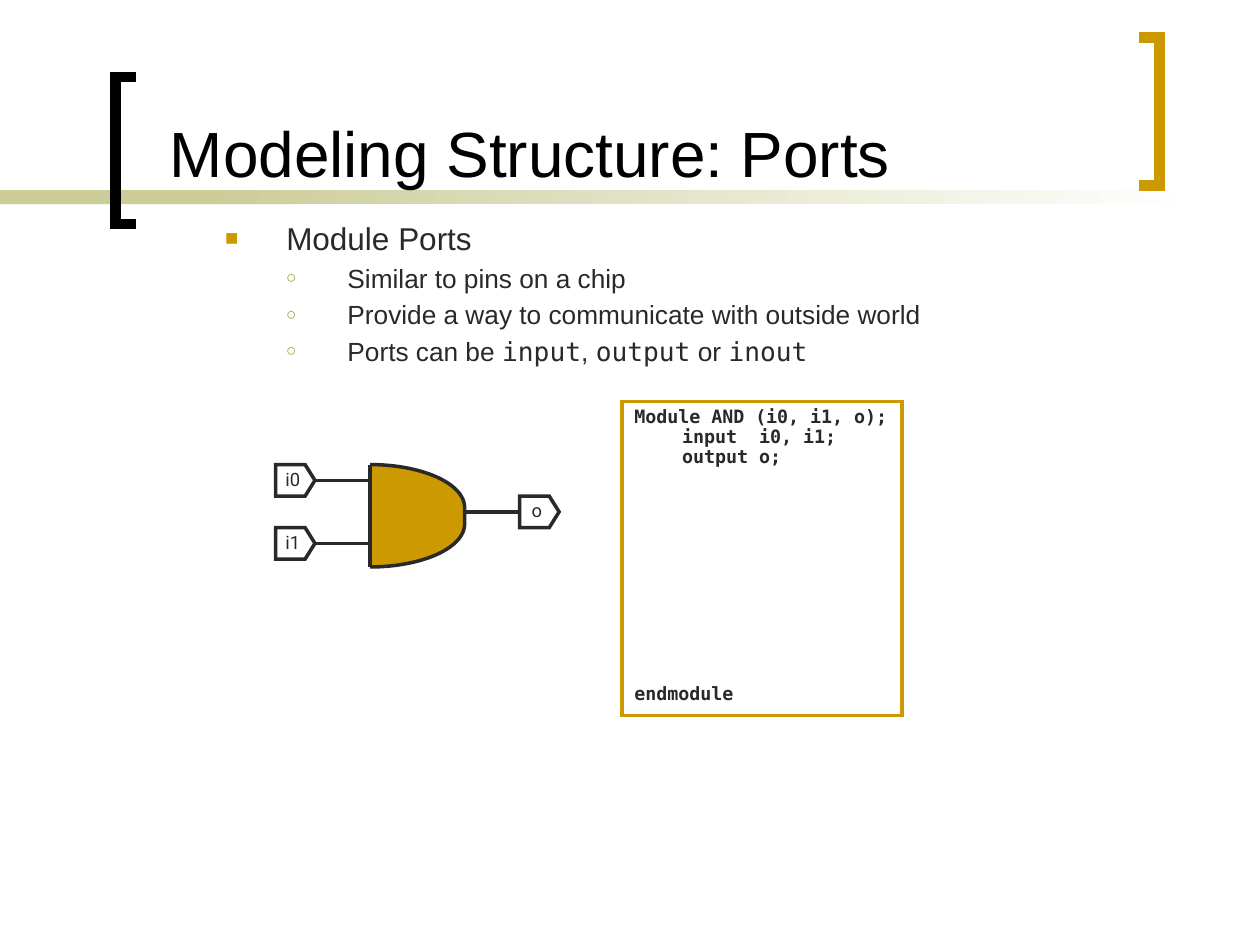
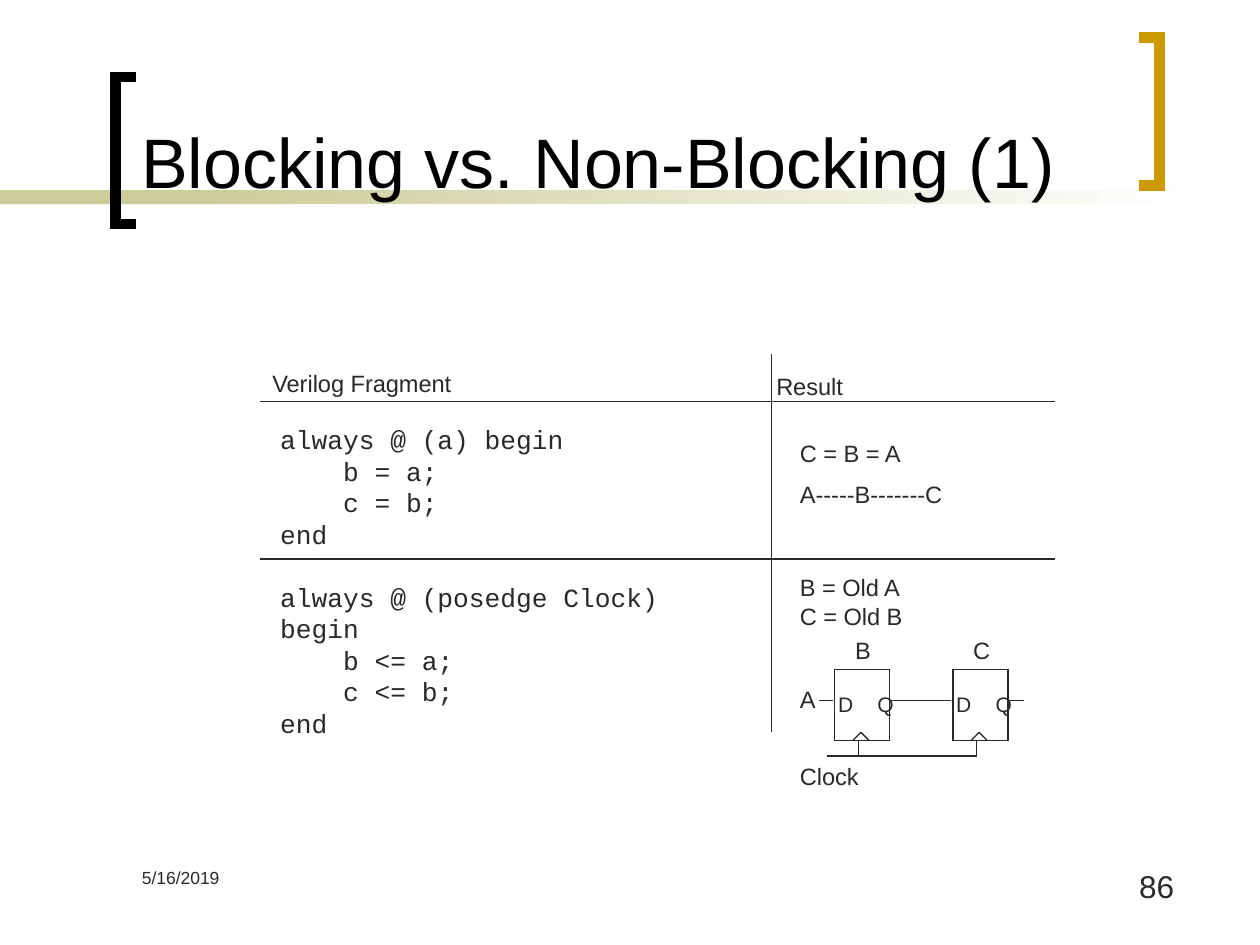
from lxml import etree
from pptx import Presentation
from pptx.dml.color import RGBColor
from pptx.enum.shapes import MSO_CONNECTOR, MSO_SHAPE
from pptx.enum.text import MSO_ANCHOR, PP_ALIGN
from pptx.oxml.ns import qn
from pptx.util import Pt

BLACK = RGBColor(0, 0, 0)
WHITE = RGBColor(255, 255, 255)
INK = RGBColor(0x29, 0x29, 0x29)
GOLD = RGBColor(0xCC, 0x99, 0x00)
SAND = RGBColor(0xCC, 0xCC, 0x99)
OLIVE = RGBColor(0x99, 0x99, 0x33)
SANS, MONO, CODE, PORT = "Arial", "DejaVu Sans Mono", "Courier New", "Roboto"
RECT, PLATE, GATE = MSO_SHAPE.RECTANGLE, MSO_SHAPE.PENTAGON, MSO_SHAPE.RIGHT_BRACKET
STRAIGHT = MSO_CONNECTOR.STRAIGHT
TOP, MIDDLE, BOTTOM = MSO_ANCHOR.TOP, MSO_ANCHOR.MIDDLE, MSO_ANCHOR.BOTTOM
LEFT, CENTER, RIGHT = PP_ALIGN.LEFT, PP_ALIGN.CENTER, PP_ALIGN.RIGHT


class Deck:
    """Hold the style and the current slide, and draw each kind of element."""

    def __init__(self):
        self.prs = Presentation()
        self.prs.slide_width, self.prs.slide_height = Pt(720), Pt(540)
        self.shapes = None

    def slide(self, title, box, size):
        self.shapes = self.prs.slides.add_slide(self.prs.slide_layouts[6]).shapes
        self.shape(RECT, (0, 108.75, 168, 8), fill=SAND)
        self.fade((114, 108.75, 570, 8))
        self.bracket(78, 66, 44, 128, BLACK)
        self.bracket(651, 662.5, 21.5, 106, GOLD)
        self.text(box, [title], size, color=BLACK, anchor=BOTTOM)

    def paint(self, shape, fill, line, width):
        shape.shadow.inherit = False
        if fill is None:
            shape.fill.background()
        else:
            shape.fill.solid()
            shape.fill.fore_color.rgb = fill
        if line is None:
            shape.line.fill.background()
        else:
            shape.line.color.rgb = line
            shape.line.width = Pt(width)
            etree.SubElement(shape.line._get_or_add_ln(), qn("a:miter"), lim="800000")

    def shape(self, kind, box, fill=None, line=None, width=2, adjust=None):
        shape = self.shapes.add_shape(kind, *map(Pt, box))
        if adjust is not None:
            shape.adjustments[0] = adjust
        self.paint(shape, fill, line, width)
        return shape

    def fade(self, box):
        fill = self.shape(RECT, box).fill
        fill.gradient()
        fill.gradient_angle = 0
        for stop, color, place in zip(fill.gradient_stops, (SAND, WHITE), (0, 1)):
            stop.color.rgb = color
            stop.position = place

    def bracket(self, tip, spine, top, base, color):
        pen = self.shapes.build_freeform(Pt(tip), Pt(top))
        ends = [(spine, top), (spine, base), (tip, base)]
        pen.add_line_segments([(Pt(x), Pt(y)) for x, y in ends], close=False)
        self.paint(pen.convert_to_shape(), None, color, 6)

    def line(self, x1, y1, x2, y2, width=0.75):
        wire = self.shapes.add_connector(STRAIGHT, Pt(x1), Pt(y1), Pt(x2), Pt(y2))
        wire.line.color.rgb = INK
        wire.line.width = Pt(width)
        etree.SubElement(wire._element.spPr, qn("a:effectLst"))

    def run(self, para, text, size, font, color=INK, bold=False):
        run = para.add_run()
        run.text = text
        run.font.size, run.font.name, run.font.bold = Pt(size), font, bold
        run.font.color.rgb = color

    def before(self, para, share):
        gap = etree.Element(qn("a:spcBef"))
        etree.SubElement(gap, qn("a:spcPct"), val=str(share * 1000))
        para._p.get_or_add_pPr().insert(0, gap)

    def indent(self, para, left, first=0):
        props = para._p.get_or_add_pPr()
        props.set("marL", str(Pt(left)))
        props.set("indent", str(Pt(first)))

    def paras(self, frame, count):
        return [frame.paragraphs[0]] + [frame.add_paragraph() for _ in range(count - 1)]

    def frame(self, box, anchor=TOP):
        frame = self.shapes.add_textbox(*map(Pt, box)).text_frame
        frame.word_wrap = True
        frame.vertical_anchor = anchor
        return frame

    def text(self, box, rows, size=13.5, font=SANS, color=INK, anchor=TOP,
             align=LEFT, share=0, step=0):
        frame = self.frame(box, anchor)
        for para, row in zip(self.paras(frame, len(rows)), rows):
            para.alignment = align
            if share:
                self.before(para, share)
            if row.startswith("\t"):
                self.indent(para, step)
            self.run(para, row.strip(), size, font, color)

    def label(self, box, text, size=13.5):
        self.text(box, [text], size, share=50)

    def bullets(self, box, rows):
        marks = [("■", GOLD, 70, 18), ("○", OLIVE, 65, 15)]
        for para, (level, runs) in zip(self.paras(self.frame(box), len(rows)), rows):
            sign, color, scale, size = marks[level]
            para.level = level
            self.indent(para, 35 * (level + 1), -35)
            self.before(para, 20)
            props = para._p.get_or_add_pPr()
            tint = etree.SubElement(props, qn("a:buClr"))
            etree.SubElement(tint, qn("a:srgbClr"), val=str(color))
            etree.SubElement(props, qn("a:buSzPct"), val=str(scale * 1000))
            etree.SubElement(props, qn("a:buFont"), typeface=SANS)
            etree.SubElement(props, qn("a:buChar"), char=sign)
            for text, font in runs:
                self.run(para, text, size, font)

    def port(self, x, y, name):
        frame = self.shape(PLATE, (x, y, 22.5, 18), WHITE, INK, adjust=0.312).text_frame
        frame.word_wrap = False
        frame.vertical_anchor = MIDDLE
        para = frame.paragraphs[0]
        para.alignment, para.line_spacing = CENTER, 0.9
        self.run(para, name, 10.5, PORT)

    def listing(self, box, rows):
        frame = self.shape(RECT, box, line=GOLD).text_frame
        frame.word_wrap = False
        frame.vertical_anchor = TOP
        for para, (text, left, gap) in zip(self.paras(frame, len(rows)), rows):
            para.alignment, para.line_spacing = LEFT, 0.9
            para.space_before = Pt(gap)
            self.indent(para, left)
            self.run(para, text, 10.5, MONO, bold=True)

    def flop(self, x, name):
        self.label((x + 4.5, 360, 18, 24), name)
        self.shape(RECT, (x, 382.5, 31.5, 40.5), line=INK, width=0.75)
        for shift, pin in ((-4.5, "D"), (18, "Q")):
            self.label((x + shift, 391.5, 13.5, 21.5), pin, 12)
        self.line(x + 10.5, 423, x + 15, 418.5)
        self.line(x + 15, 418.5, x + 19.5, 423)
        self.line(x + 13.5, 423, x + 13.5, 432)


def ports(deck):
    deck.slide("Modeling Structure: Ports", (90, 67.5, 540, 45), 36.5)
    deck.bullets((121.5, 121.5, 458, 94.5), [
        (0, [("Module Ports", SANS)]),
        (1, [("Similar to pins on a chip", SANS)]),
        (1, [("Provide a way to communicate with outside world", SANS)]),
        (1, [("Ports can be ", SANS), ("input", MONO), (", ", SANS),
             ("output", MONO), (" or ", SANS), ("inout", MONO)]),
    ])
    deck.shape(GATE, (211.5, 265.5, 54, 58.5), GOLD, INK, adjust=0.453)
    deck.line(211.5, 265.5, 211.5, 324, 2)
    for x, y, name, start, end in ((157.5, 265.5, "i0", 180, 211.5),
                                   (157.5, 301.5, "i1", 180, 211.5),
                                   (297, 283.5, "o", 265.5, 297)):
        deck.port(x, y, name)
        deck.line(start, y + 9, end, y + 9, 2)
    deck.listing((355.5, 229.5, 160, 179.5), [
        ("Module AND (i0, i1, o);", 0, 0),
        ("input  i0, i1;", 27.3, 0),
        ("output o;", 27.3, 0),
        ("endmodule", 0, 124),
    ])


def blocking(deck):
    deck.slide("Blocking vs. Non-Blocking (1)", (73.5, 8, 564, 111.5), 40)
    deck.text((74, 492, 150, 36), ["5/16/2019"], 10)
    deck.text((528, 492, 150, 36), ["86"], 18, align=RIGHT)
    deck.text((153, 238.5, 283.5, 80),
              ["always @ (a) begin", "\tb = a;", "\tc = b;", "end"], 15, CODE, step=36)
    deck.text((153, 328.5, 283.5, 98),
              ["always @ (posedge Clock) begin", "\tb <= a;", "\tc <= b;", "end"],
              15, CODE, step=36)
    for y in (229.5, 319.5):
        deck.line(148.5, y, 603, y)
    deck.line(441, 202.5, 441, 418.5)
    deck.text((450, 247.5, 122, 48), ["C = B = A", "A-----B-------C"], share=50)
    deck.text((450, 324, 76, 40), ["B = Old A", "C = Old B"])
    deck.label((148.5, 207, 292.5, 24), "Verilog Fragment")
    deck.label((436.5, 209, 171, 24), "Result")
    for place, name in enumerate("BC"):
        deck.flop(477 + 67.5 * place, name)
    for start, end in ((468, 476), (508.5, 543.5), (576, 585)):
        deck.line(start, 400.5, end, 400.5)
    deck.line(472.5, 432, 558, 432)
    deck.label((450, 388, 18, 24), "A")
    deck.label((450, 432, 49.5, 24), "Clock")


def main():
    deck = Deck()
    ports(deck)
    blocking(deck)
    deck.prs.save("out.pptx")


if __name__ == "__main__":
    main()
